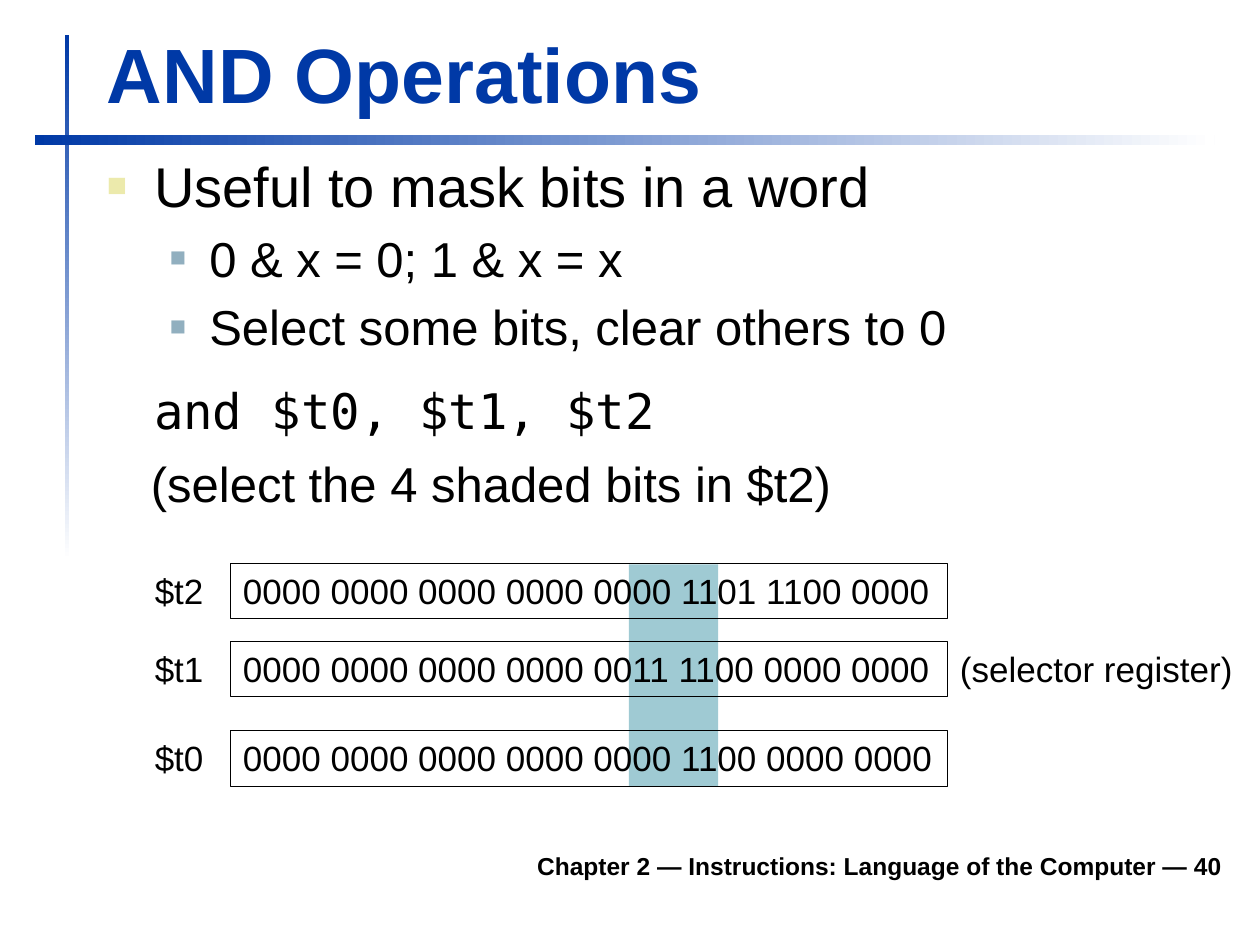
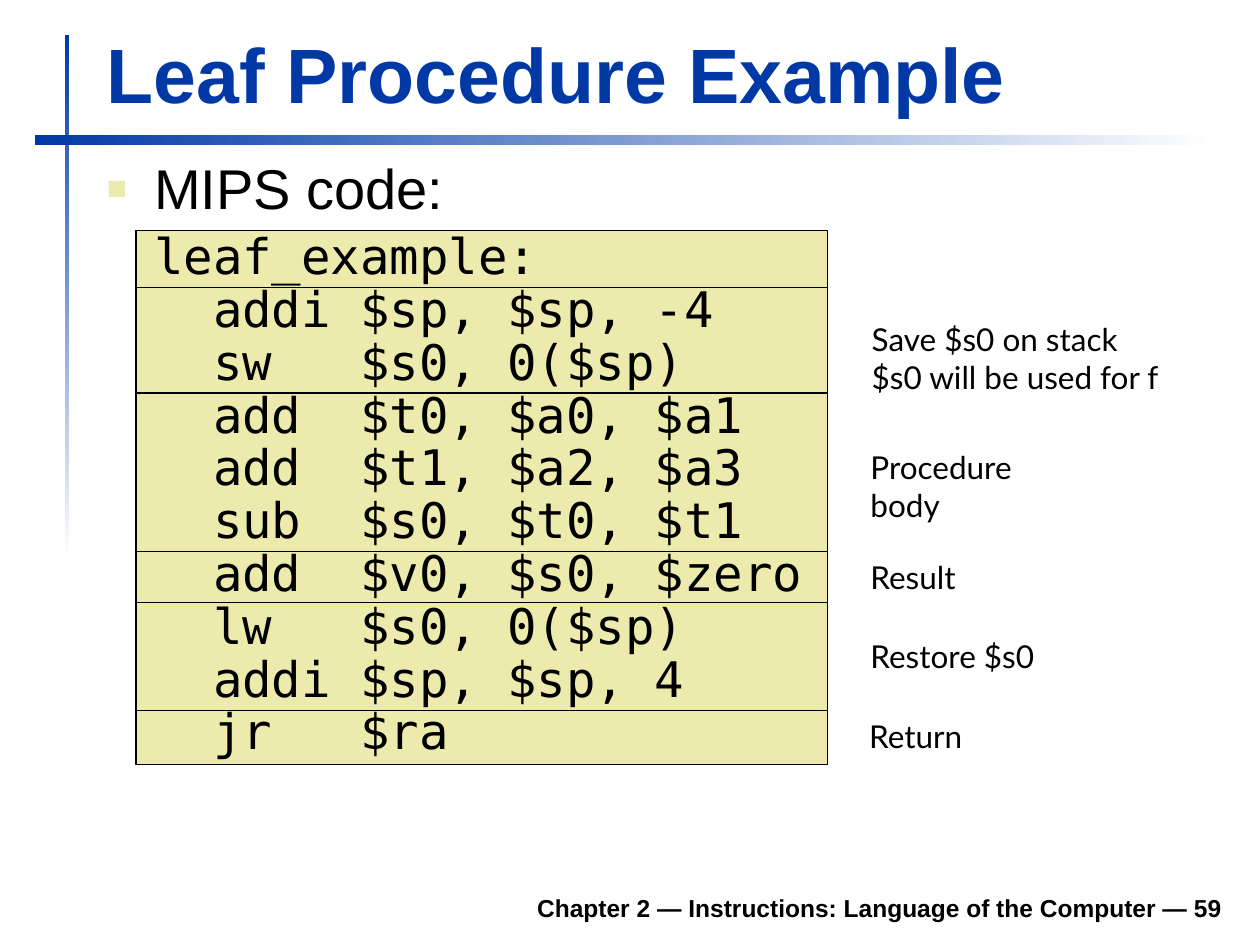
"""Build two lecture slides: AND operations and a leaf procedure in MIPS code."""
from dataclasses import dataclass
from typing import Optional

from lxml import etree
from pptx import Presentation
from pptx.dml.color import RGBColor
from pptx.enum.shapes import MSO_SHAPE
from pptx.enum.text import MSO_ANCHOR, PP_ALIGN
from pptx.oxml.ns import qn
from pptx.util import Inches, Pt

RECTANGLE = MSO_SHAPE.RECTANGLE
TOP, BOTTOM = MSO_ANCHOR.TOP, MSO_ANCHOR.BOTTOM
LEFT, RIGHT = PP_ALIGN.LEFT, PP_ALIGN.RIGHT

SLIDE_WIDTH, SLIDE_HEIGHT = Inches(10), Inches(7.5)
COLUMN, ROW = SLIDE_WIDTH / 100, SLIDE_HEIGHT / 75
COLORS = {
    "blue": "0039A6",
    "white": "FFFFFF",
    "black": "000000",
    "sand": "ECEAAC",
    "steel": "91AFBF",
    "mask": "9FCAD3",
}
SANS, MONO, NOTE = "Arial", "DejaVu Sans Mono", "Lato"
FOOTER = "Chapter 2 — Instructions: Language of the Computer — "


@dataclass(frozen=True)
class Area:
    """A place on the grid, in columns and rows."""
    left: float
    top: float
    width: float
    height: float


@dataclass(frozen=True)
class Style:
    """The look of a run of text."""
    size: float
    font: str = SANS
    color: str = "black"
    bold: bool = False


@dataclass(frozen=True)
class Bullet:
    """A square list mark, with its size in percent of the text."""
    color: str
    percent: int


@dataclass(frozen=True)
class Line:
    """A paragraph of the body, with indents in columns and spacing in points."""
    rows: tuple[str, ...]
    style: Style
    margin: float = 3.75
    hanging: float = 0
    bullet: Optional[Bullet] = None
    before: float = 0
    spacing: object = 1.0


@dataclass(frozen=True)
class Register:
    """A register with its bits and an optional remark."""
    name: str
    bits: str
    top: float
    remark: str = ""


@dataclass(frozen=True)
class CodeBlock:
    """A framed group of code rows."""
    height: float
    rows: tuple[str, ...]


@dataclass(frozen=True)
class Remark:
    """A remark beside the code."""
    area: Area
    rows: tuple[str, ...]


TITLE = Style(44, color="blue", bold=True)
HEADING, DETAIL = Style(32), Style(28)
CODE = Style(28, MONO)
REGISTER_TEXT = Style(20)
REMARK_TEXT = Style(18, NOTE)
FOOTER_TEXT = Style(14, bold=True)
NARROW_GAP, WIDE_GAP = 0.2 * DETAIL.size, 0.5 * DETAIL.size

BULLETS = (Bullet("sand", 60), Bullet("steel", 55))
REGISTERS = (
    Register("$t2", "0000 0000 0000 0000 0000 1101 1100 0000", 44.7),
    Register("$t1", "0000 0000 0000 0000 0011 1100 0000 0000", 50.9,
             "(selector register)"),
    Register("$t0", "0000 0000 0000 0000 0000 1100 0000 0000", 58),
)
CODE_BLOCKS = (
    CodeBlock(4.5, ("leaf_example:",)),
    CodeBlock(8.4, ("  addi $sp, $sp, -4", "  sw   $s0, 0($sp)")),
    CodeBlock(12.6, ("  add  $t0, $a0, $a1", "  add  $t1, $a2, $a3",
                     "  sub  $s0, $t0, $t1")),
    CodeBlock(4, ("  add  $v0, $s0, $zero",)),
    CodeBlock(8.6, ("  lw   $s0, 0($sp)", "  addi $sp, $sp, 4")),
    CodeBlock(4.3, ("  jr   $ra",)),
)
REMARKS = (
    Remark(Area(68.2, 24.9, 25.3, 7.1),
           ("Save $s0 on stack", "$s0 will be used for f")),
    Remark(Area(68.1, 35.1, 15, 7.1), ("Procedure body",)),
    Remark(Area(68.1, 43.8, 15, 4), ("Result",)),
    Remark(Area(68.1, 50.1, 15, 4), ("Restore $s0",)),
    Remark(Area(68, 56.4, 15, 4), ("Return",)),
)


def color(name: str) -> RGBColor:
    """Return a named colour."""
    return RGBColor.from_string(COLORS[name])


def place(area: Area) -> tuple[int, ...]:
    """Turn grid units into slide lengths."""
    return (round(area.left * COLUMN), round(area.top * ROW),
            round(area.width * COLUMN), round(area.height * ROW))


def add_span(para, text: str, style: Style) -> None:
    """Add one styled run."""
    span = para.add_run()
    span.text = text
    span.font.name = style.font
    span.font.size = Pt(style.size)
    span.font.bold = style.bold
    span.font.color.rgb = color(style.color)


def prepare_frame(box, anchor=TOP, right_inset: float = 0):
    """Set wrapping, anchor and insets of a text frame."""
    frame = box.text_frame
    frame.word_wrap = True
    frame.vertical_anchor = anchor
    frame.margin_right = round(right_inset * COLUMN)
    return frame


def add_text(page, area: Area, rows: tuple[str, ...], style: Style,
             anchor=TOP, align=LEFT) -> None:
    """Add a text box with one paragraph for each row."""
    box = page.shapes.add_textbox(*place(area))
    frame = prepare_frame(box, anchor, 1 if align == RIGHT else 0)
    for index, row in enumerate(rows):
        para = frame.add_paragraph() if index else frame.paragraphs[0]
        para.alignment = align
        add_span(para, row, style)


def add_rectangle(page, area: Area, fill: str = "", outlined: bool = False):
    """Add a rectangle with an optional fill and thin outline."""
    box = page.shapes.add_shape(RECTANGLE, *place(area))
    box.shadow.inherit = False
    if fill:
        box.fill.solid()
        box.fill.fore_color.rgb = color(fill)
    else:
        box.fill.background()
    if outlined:
        box.line.color.rgb = color("black")
        box.line.width = Pt(0.75)
    else:
        box.line.fill.background()
    return box


def add_fading_bar(page, area: Area, angle: int) -> None:
    """Add a bar that fades from blue to white."""
    bar = add_rectangle(page, area)
    bar.fill.gradient()
    bar.fill.gradient_angle = angle
    for stop, name in zip(bar.fill.gradient_stops, ("blue", "white")):
        stop.color.rgb = color(name)


def set_bullet(para, line: Line) -> None:
    """Set the indents and the list mark of a paragraph."""
    properties = para._p.get_or_add_pPr()
    properties.set("marL", str(round(line.margin * COLUMN)))
    properties.set("indent", str(round(-line.hanging * COLUMN)))
    if line.bullet is None:
        etree.SubElement(properties, qn("a:buNone"))
        return
    mark = etree.SubElement(properties, qn("a:buClr"))
    etree.SubElement(mark, qn("a:srgbClr"), val=COLORS[line.bullet.color])
    etree.SubElement(properties, qn("a:buSzPct"), val=str(line.bullet.percent * 1000))
    etree.SubElement(properties, qn("a:buFont"), typeface=SANS)
    etree.SubElement(properties, qn("a:buChar"), char="■")


def add_body(page, area: Area, lines: tuple[Line, ...]) -> None:
    """Add the main text of a slide."""
    frame = prepare_frame(page.shapes.add_textbox(*place(area)))
    for index, line in enumerate(lines):
        para = frame.add_paragraph() if index else frame.paragraphs[0]
        set_bullet(para, line)
        para.line_spacing = line.spacing
        para.space_before = Pt(line.before)
        for number, row in enumerate(line.rows):
            if number:
                para.add_line_break()
            add_span(para, row, line.style)


def add_page(deck, title: str, number: int, footer_top: float):
    """Add a slide with the shared bars, title and footer."""
    page = deck.slides.add_slide(deck.slide_layouts[6])
    add_fading_bar(page, Area(5.15, 2.8, 0.35, 41.7), 270)
    add_fading_bar(page, Area(2.75, 10.7, 93.65, 0.8), 0)
    add_text(page, Area(18.5, footer_top, 79.5, 3.9), (f"{FOOTER}{number}",),
             FOOTER_TEXT, BOTTOM, RIGHT)
    add_text(page, Area(7.5, 1.6, 90.3, 8.3), (title,), TITLE, BOTTOM)
    return page


def heading(text: str, spacing: float = 1.0) -> Line:
    """Return a first-level body line."""
    return Line((text,), HEADING, hanging=3.75, bullet=BULLETS[0], spacing=spacing)


def detail(text: str) -> Line:
    """Return a second-level body line."""
    return Line((text,), DETAIL, 8.13, 3.13, BULLETS[1], NARROW_GAP)


def build_and_operations(deck) -> None:
    """Build the slide on masking bits."""
    page = add_page(deck, "AND Operations", 40, 66.5)
    add_rectangle(page, Area(49.9, 44.8, 7.1, 17.6), "mask")
    add_body(page, Area(7.5, 11.5, 75.6, 18.9), (
        heading("Useful to mask bits in a word"),
        detail("0 & x = 0; 1 & x = x"),
        detail("Select some bits, clear others to 0"),
        Line(("and $t0, $t1, $t2",), CODE, before=WIDE_GAP),
    ))
    add_text(page, Area(11, 35.5, 56.7, 5.7),
             ("(select the 4 shaded bits in $t2)",), DETAIL)
    for register in REGISTERS:
        add_text(page, Area(11.3, register.top, 5.9, 4.4),
                 (register.name,), REGISTER_TEXT)
        box = add_rectangle(page, Area(18.3, register.top, 56.9, 4.4), outlined=True)
        para = prepare_frame(box).paragraphs[0]
        para.alignment = LEFT
        add_span(para, register.bits, REGISTER_TEXT)
        if register.remark:
            add_text(page, Area(75.2, register.top, 23.8, 4.4),
                     (register.remark,), REGISTER_TEXT)


def build_leaf_procedure(deck) -> None:
    """Build the slide on the leaf procedure."""
    page = add_page(deck, "Leaf Procedure Example", 59, 69.8)
    top = 18.3
    for block in CODE_BLOCKS:
        add_rectangle(page, Area(10.8, top, 54.9, block.height), "sand", True)
        top += block.height
    code_rows = tuple(row for block in CODE_BLOCKS for row in block.rows)
    add_body(page, Area(7.5, 12.3, 90.5, 55.9), (
        heading("MIPS code:", 0.9),
        Line(code_rows, CODE, before=NARROW_GAP, spacing=Pt(30.2)),
    ))
    for remark in REMARKS:
        add_text(page, remark.area, remark.rows, REMARK_TEXT)


def main() -> None:
    """Build and save the deck."""
    deck = Presentation()
    deck.slide_width, deck.slide_height = SLIDE_WIDTH, SLIDE_HEIGHT
    build_and_operations(deck)
    build_leaf_procedure(deck)
    deck.save("out.pptx")


if __name__ == "__main__":
    main()
